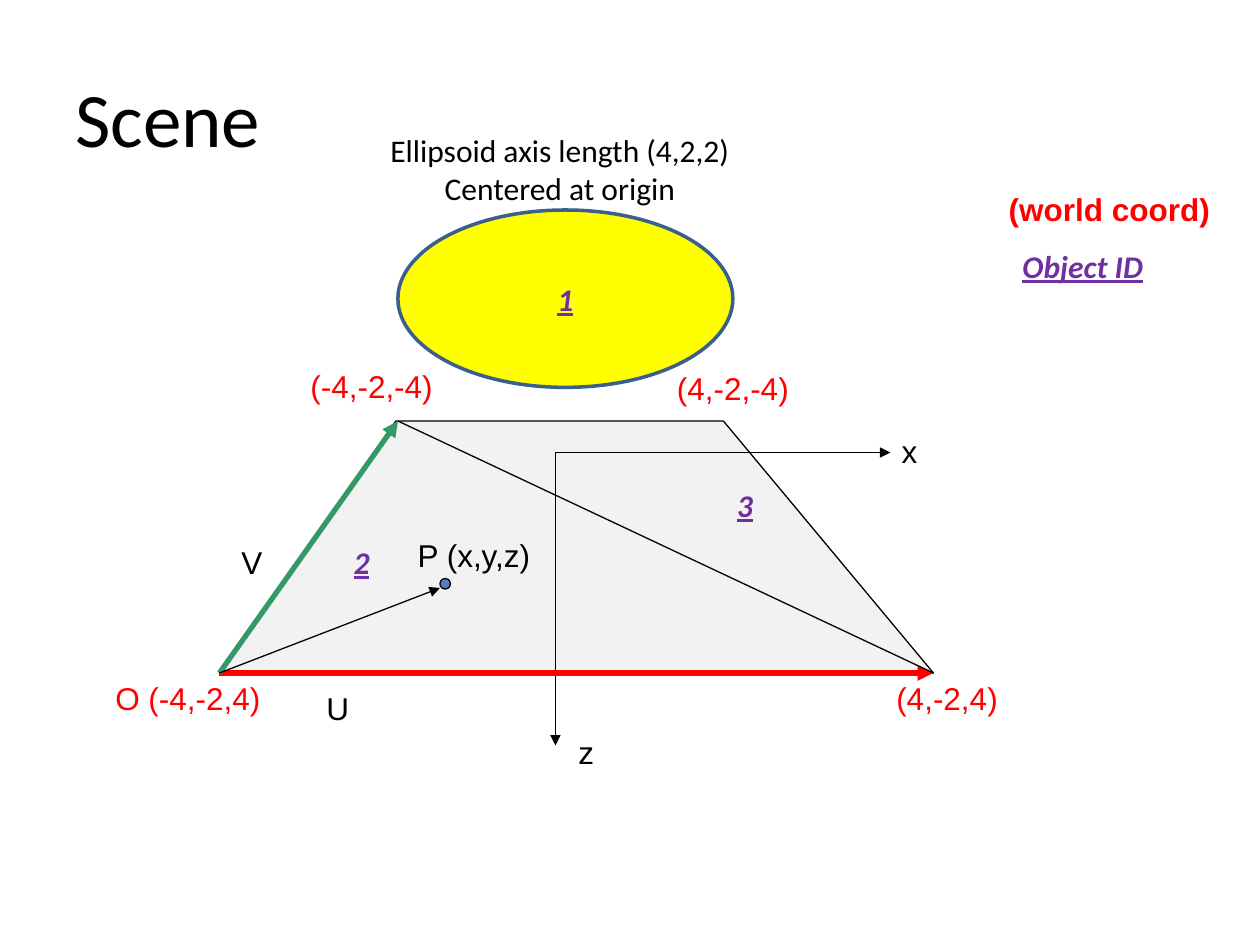
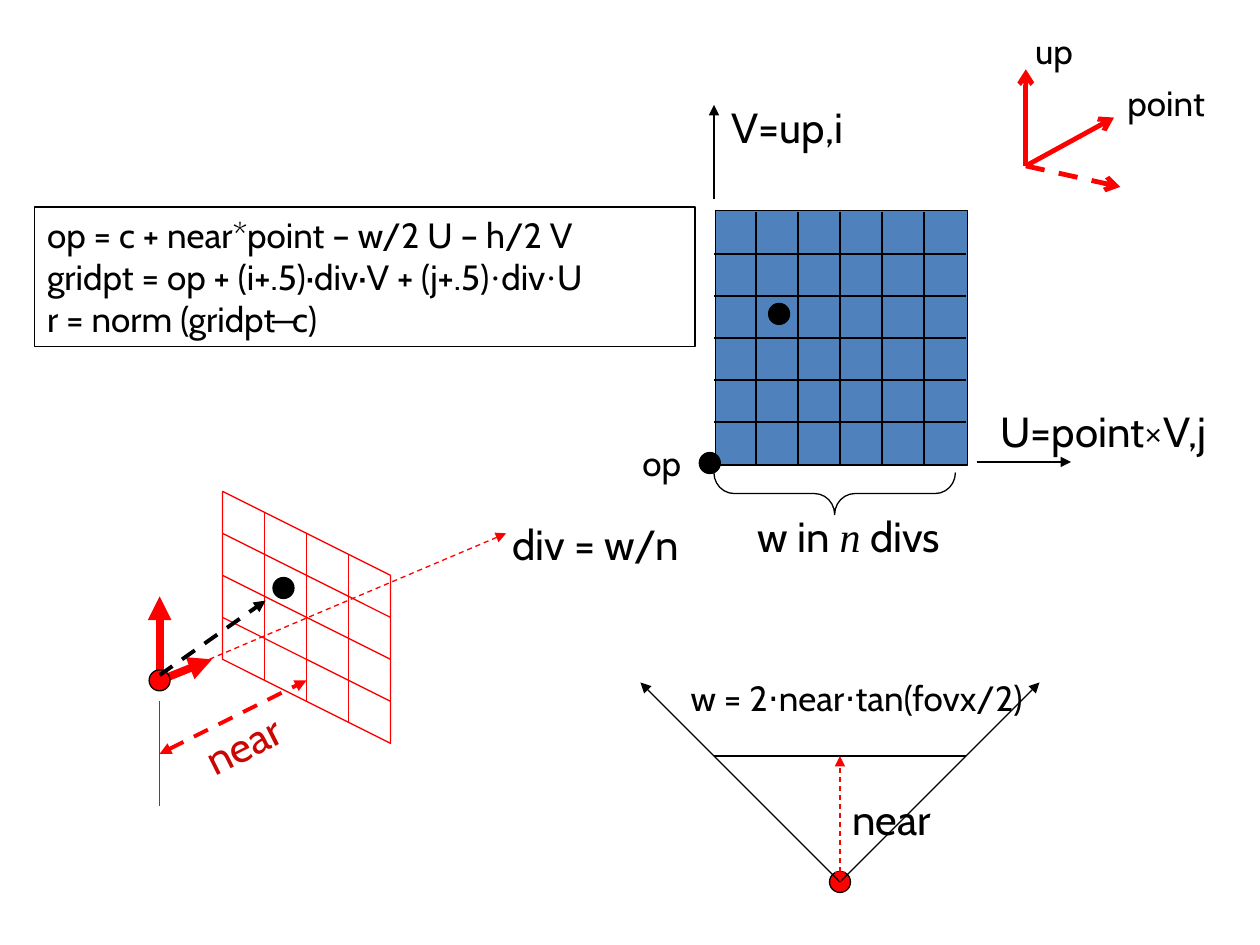
import pptx
import pptx.dml.color
import pptx.enum.dml
import pptx.enum.shapes
import pptx.enum.text
import pptx.oxml
import pptx.oxml.ns
import pptx.util

WIDE, HIGH = pptx.util.Inches(10), pptx.util.Inches(7.5)
COLS, ROWS = 120, 90
BLACK, RED, BLUE, WHITE = "000000", "FF0000", "4F81BD", "FFFFFF"
GREEN, GREY, YELLOW, NAVY = "339966", "F2F2F2", "FFFF00", "3A5F8C"
VIOLET, BRICK = "7030A0", "CA0702"
KIND = pptx.enum.shapes.MSO_SHAPE
ALIGN = pptx.enum.text.PP_ALIGN
ANCHOR = pptx.enum.text.MSO_ANCHOR
PLAIN = {"name": "Arial", "size": 18, "color": BLACK}
COORD = {**PLAIN, "color": RED}
BODY = {**PLAIN, "name": "Calibri"}
TITLE = {**BODY, "size": 44}
IDENT = {**BODY, "color": VIOLET, "bold": True, "italic": True, "underline": True}
LARGE = {"name": "Cabin", "size": 24, "color": BLACK}
SMALL = {**LARGE, "size": 20}
TIMES = {"name": "Times New Roman"}


def grid(col, row):
    """Turn a grid column and row into slide lengths."""
    return round(col * WIDE / COLS), round(row * HIGH / ROWS)


def paint(code):
    """Turn a hex string into a colour."""
    return pptx.dml.color.RGBColor.from_string(code)


def assign(target, values):
    """Set each named attribute of the target."""
    for name, value in values.items():
        setattr(target, name, value)


def style(font, look):
    """Give a font its look."""
    values = dict(look)
    font.color.rgb = paint(values.pop("color"))
    values["size"] = pptx.util.Pt(values["size"])
    assign(font, values)


def write(frame, paras, look, align=ALIGN.LEFT, **values):
    """Fill a text frame with paragraphs of plain or mixed runs."""
    assign(frame, values)
    for place, para in enumerate(paras):
        line = frame.add_paragraph() if place else frame.paragraphs[0]
        line.alignment = align
        for part in [para] if isinstance(para, str) else para:
            text, extra = (part, {}) if isinstance(part, str) else part
            run = line.add_run()
            run.text = text
            style(run.font, {**look, **extra})


def label(slide, text, left, top, width, look, align=ALIGN.LEFT, turn=0):
    """Add one line of unwrapped text."""
    tall = (1.2 * look["size"] + 7.2) / 6
    box = slide.shapes.add_textbox(*grid(left, top), *grid(width, tall))
    box.rotation = turn
    write(box.text_frame, [text], look, align, word_wrap=False)
    return box


def stroke(line, color, weight):
    """Give an outline its colour and width."""
    line.color.rgb = paint(color)
    line.width = pptx.util.Pt(weight)


def finish(shape, fill, color, weight):
    """Give a shape its fill and outline, free of shadow."""
    shape.shadow.inherit = False
    if fill:
        shape.fill.solid()
        shape.fill.fore_color.rgb = paint(fill)
    else:
        shape.fill.background()
    stroke(shape.line, color, weight)
    return shape


def figure(slide, kind, left, top, width, tall, fill=None, color=BLACK, weight=0.75):
    """Add a preset shape."""
    shape = slide.shapes.add_shape(kind, *grid(left, top), *grid(width, tall))
    return finish(shape, fill, color, weight)


def dot(slide, col, row, fill=BLACK, size=2):
    """Add a round point about its centre."""
    half = size / 2
    return figure(slide, KIND.OVAL, col - half, row - half, size, size, fill)


def outline(slide, points, fill, color):
    """Add a closed polygon."""
    first, *rest = [grid(*point) for point in points]
    maker = slide.shapes.build_freeform(*first, scale=1)
    maker.add_line_segments(rest, close=True)
    return finish(maker.convert_to_shape(), fill, color, 0.75)


def add(parent, tag, **values):
    """Append a drawing element."""
    child = pptx.oxml.parse_xml(f"<{tag} {pptx.oxml.ns.nsdecls('a')}/>")
    for name, value in values.items():
        child.set(name, value)
    parent.append(child)


def link(slide, start, end, color=BLACK, weight=0.75, dash=False, head=None, tail=None):
    """Add a straight line with optional dashes and arrowheads."""
    kind = pptx.enum.shapes.MSO_CONNECTOR.STRAIGHT
    line = slide.shapes.add_connector(kind, *grid(*start), *grid(*end))
    stroke(line.line, color, weight)
    if dash:
        line.line.dash_style = pptx.enum.dml.MSO_LINE.DASH
    props = line.element.spPr
    edge = props.find(pptx.oxml.ns.qn("a:ln"))
    for tag, shape in (("a:headEnd", head), ("a:tailEnd", tail)):
        if shape:
            add(edge, tag, type=shape)
    add(props, "a:effectLst")
    return line


def arrow(slide, start, end, color=BLACK, weight=0.75, **more):
    """Add a line that ends in a filled arrowhead."""
    return link(slide, start, end, color, weight, tail="triangle", **more)


def scene(slide):
    """Draw the ellipsoid above the two floor triangles."""
    name = slide.shapes.add_textbox(*grid(6, 3.6), *grid(108, 15))
    write(name.text_frame, ["Scene"], TITLE, word_wrap=True,
          vertical_anchor=ANCHOR.MIDDLE)

    near, right, far = (20.9, 64.1), (88.9, 64.1), (37.7, 40.1)
    outline(slide, [far, near, right, (68.9, 40.1)], GREY, BLACK)
    for end in ((84.8, 43.1), (52.9, 71)):
        arrow(slide, (52.9, 43.1), end)
    dot(slide, 42.4, 55.6, BLUE, 1)
    arrow(slide, near, right, RED, 3)
    arrow(slide, near, (37.9, 40.1), GREEN, 3)
    arrow(slide, near, (41.9, 56))
    link(slide, (37.9, 40.1), right)

    ball = figure(slide, KIND.OVAL, 37.9, 20, 31.9, 16.9, YELLOW, NAVY, 2)
    write(ball.text_frame, ["1"], IDENT, ALIGN.CENTER, vertical_anchor=ANCHOR.MIDDLE)
    note = slide.shapes.add_textbox(*grid(36, 11.9), *grid(35.8, 8.5))
    write(note.text_frame, ["Ellipsoid axis length (4,2,2)", "Centered at origin"],
          BODY, word_wrap=False)
    note.text_frame.paragraphs[1].alignment = ALIGN.CENTER

    label(slide, "(world coord)", 94.8, 17.5, 21.7, {**COORD, "bold": True}, ALIGN.CENTER)
    for text, left, top, width in (
        ("O (-4,-2,4)", 9.7, 64.1, 16.4),
        ("(4,-2,4)", 84.1, 64.1, 12.2),
        ("(-4,-2,-4)", 28.3, 34.4, 14.2),
        ("(4,-2,-4)", 63.2, 34.6, 13.2),
    ):
        label(slide, text, left, top, width, COORD, ALIGN.CENTER)
    for text, left, top, width in (
        ("x", 84.7, 40.6, 4),
        ("z", 53.9, 69.2, 4),
        ("P (x,y,z)", 38.6, 50.5, 13.4),
        ("U", 29.9, 65, 4.6),
        ("V", 21.8, 51.1, 4.4),
    ):
        label(slide, text, left, top, width, PLAIN)
    for text, left, top, width in (
        ("Object ID", 96.2, 22.9, 14),
        ("2", 32.5, 51.1, 4),
        ("3", 69, 45.7, 4),
    ):
        label(slide, text, left, top, width, IDENT)


def window(slide):
    """Draw the view plane from the front with its two axes."""
    figure(slide, KIND.RECTANGLE, 68.16, 20.04, 24, 24.24, BLUE)
    for step in range(5):
        row, col = 24.2 + 4 * step, 72 + 4 * step
        link(slide, (68, row), (92, row))
        link(slide, (col, 44.2), (col, 20.2))
    brace = figure(slide, KIND.LEFT_BRACE, 77.5, 35.5, 4, 23)
    brace.rotation = 270
    brace.adjustments[0] = 0.48
    dot(slide, 67.6, 44.1)
    dot(slide, 74.2, 29.9)
    arrow(slide, (68, 19), (68, 10))
    arrow(slide, (93, 44), (102, 44))
    label(slide, "V=up,i", 68.5, 9.1, 14.3, LARGE)
    label(slide, "U=point×V,j", 94.1, 38, 23.8, LARGE)
    label(slide, ["w in ", ("n", {**TIMES, "italic": True}), " divs"], 71, 48, 21.2, LARGE)
    label(slide, "op", 60, 41.5, 6.1, SMALL)


def wedge(slide):
    """Draw the field of view from above."""
    eye = (80, 84)
    link(slide, (68, 72), (92, 72))
    dot(slide, *eye, RED)
    for col in (99, 61):
        arrow(slide, eye, (col, 65))
    arrow(slide, eye, (80, 72), RED, dash=True, head="triangle")
    label(slide, "near", 80, 75, 10.3, LARGE)
    label(slide, "w = 2⋅near⋅tan(fovx/2)", 64.6, 63.8, 36, SMALL)


def camera(slide):
    """Draw the eye, its ray and the slanted view plane."""
    left, top, side = 21.2, 46.8, 16
    right, drop = left + side, side / 2
    eye = (left - 6, top + 18)
    arrow(slide, eye, (20.2, 62.8), RED, 4.5)
    arrow(slide, eye, (eye[0], 56.8), RED, 4.5)
    outline(slide, [(left, top), (left, top + side), (right, top + side + drop),
                    (right, top + drop)], None, RED)
    for step in range(4, side, 4):
        row, col, high = top + step, left + step, top + step / 2
        link(slide, (left, row), (right, row + drop), RED)
        link(slide, (col, high), (col, high + side), RED)
    arrow(slide, eye, (48.2, 50.8), RED, dash=True)
    dot(slide, *eye, RED)
    link(slide, (eye[0], 66.8), (eye[0], 76.8), RED)
    arrow(slide, (eye[0], 71.8), (29.2, 64.8), RED, 2.25, dash=True, head="triangle")
    label(slide, "near", 18.2, 67.8, 10.3, {**LARGE, "color": BRICK}, turn=333.4)
    dot(slide, 27, 56)
    arrow(slide, (eye[0], 64.3), (25.3, 57.2), weight=2.25, dash=True)
    label(slide, "div = w/n", 47.6, 48.8, 19.8, LARGE)


def frame(slide):
    """Draw the camera's direction arrows."""
    for end, dash in (((106.1, 11.2), False), ((97.7, 6.6), False), ((106.7, 17.8), True)):
        link(slide, (97.7, 15.8), end, RED, 2.75, dash, tail="arrow")
    label(slide, "up", 97.4, 2.2, 6.1, SMALL)
    label(slide, "point", 106.2, 7.2, 9.8, SMALL)


def rays(slide):
    """Draw how rays pass through the view plane."""
    window(slide)
    wedge(slide)
    box = figure(slide, KIND.RECTANGLE, 3.3, 19.7, 62.9, 13.3, WHITE)
    write(box.text_frame, [
        "op = c + near*point – w/2 U – h/2 V",
        ["gridpt = op + (i+.5)·div·V + (j+.5)", ("·", TIMES), "div", ("·", TIMES), "U"],
        "r = norm (gridpt ̶ c)",
    ], SMALL, word_wrap=True, vertical_anchor=ANCHOR.TOP)
    camera(slide)
    frame(slide)


def main():
    """Build and save the slides."""
    deck = pptx.Presentation()
    assign(deck, {"slide_width": WIDE, "slide_height": HIGH})
    for draw in (scene, rays):
        draw(deck.slides.add_slide(deck.slide_layouts[6]))
    deck.save("out.pptx")


if __name__ == "__main__":
    main()
